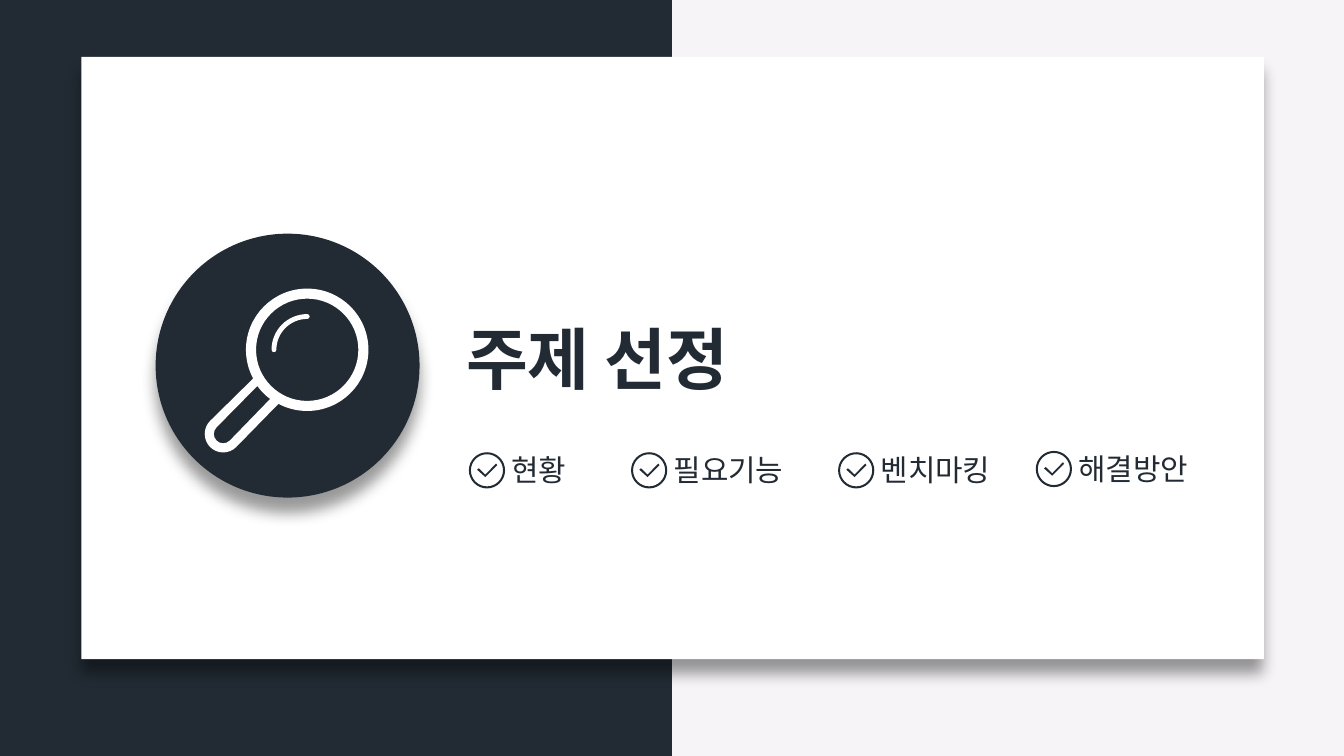
from dataclasses import dataclass
from math import cos, radians, sin, tan

from lxml import etree
from pptx import Presentation
from pptx.dml.color import RGBColor
from pptx.enum.shapes import MSO_SHAPE
from pptx.enum.text import MSO_AUTO_SIZE
from pptx.oxml import parse_xml
from pptx.oxml.ns import nsdecls, qn
from pptx.util import Pt

RECT, OVAL = MSO_SHAPE.RECTANGLE, MSO_SHAPE.OVAL
FIT = MSO_AUTO_SIZE.SHAPE_TO_FIT_TEXT


@dataclass(frozen=True)
class Theme:
    dark: RGBColor = RGBColor(0x22, 0x2B, 0x34)
    light: RGBColor = RGBColor(0xF6, 0xF4, 0xF7)
    white: RGBColor = RGBColor(0xFF, 0xFF, 0xFF)
    font: str = "Noto Sans CJK KR"
    title: int = 36
    label: int = 16


theme = Theme()


def add_text(text, *, left, top, width, height, size, bold=False):
    box = s.shapes.add_textbox(Pt(left), Pt(top), Pt(width), Pt(height))
    tf = box.text_frame
    tf.word_wrap = False
    tf.auto_size = FIT
    r = tf.paragraphs[0].add_run()
    r.text = text
    r.font.name, r.font.size, r.font.bold = theme.font, Pt(size), bold
    r.font.color.rgb = theme.dark
    return box


def arc(cx, cy, radius, start, end):
    """Bezier points of an arc, split at the quadrants; clockwise from the right."""
    stops = [start, *(q for q in range(-360, 721, 90)
                      if min(start, end) < q < max(start, end)), end]
    stops.sort(reverse=end < start)
    offsets = [(cos(radians(start)), sin(radians(start)))]
    for first, last in zip(stops, stops[1:]):
        a, b = radians(first), radians(last)
        k = 4 / 3 * tan((b - a) / 4)
        offsets += [(cos(a) - k * sin(a), sin(a) + k * cos(a)),
                    (cos(b) + k * sin(b), sin(b) - k * cos(b)),
                    (cos(b), sin(b))]
    return [(round(cx + radius * dx, 2), round(cy + radius * dy, 2))
            for dx, dy in offsets]


prs = Presentation()
prs.slide_width, prs.slide_height = Pt(720), Pt(405)
s = prs.slides.add_slide(prs.slide_layouts[6])
s.background.fill.solid()
s.background.fill.fore_color.rgb = theme.light

# Dark half, white card and round badge
for kind, left, top, width, height, color, shadow in [
    (RECT, 0, 0, 360, 405, theme.dark, False),
    (RECT, 43.6, 30.5, 633.6, 322.6, theme.white, True),
    (OVAL, 83.4, 125.2, 141.4, 141.4, theme.dark, True),
]:
    sp = s.shapes.add_shape(kind, Pt(left), Pt(top), Pt(width), Pt(height))
    sp.fill.solid()
    sp.fill.fore_color.rgb = color
    sp.line.fill.background()
    sp.shadow.inherit = False
    if shadow:
        effects = sp._element.spPr.find(qn("a:effectLst"))
        effects.append(parse_xml(
            f'<a:outerShdw {nsdecls("a")} blurRad="{Pt(8)}" dist="{Pt(8)}" '
            'dir="5400000" algn="t" rotWithShape="0"><a:srgbClr val="000000">'
            '<a:alpha val="40000"/></a:srgbClr></a:outerShdw>'))

# Title
add_text("주제 선정", left=242.6, top=166.3, width=164.2, height=51.1,
         size=theme.title, bold=True)

# Magnifier: a contour is a list of curves joined by straight edges
lens_x, lens_y = 164.6, 187.4
grip_x, grip_y = 119.6, 232.5
magnifier = [
    [arc(lens_x, lens_y, 32.8, 152, 478), arc(grip_x, grip_y, 9.9, 45, 225)],
    [arc(lens_x, lens_y, 27.4, 360, 0)],
    [arc(grip_x, grip_y, 5, 45, 225), arc(lens_x, lens_y, 33, 144, 127)],
]
glint = [[
    arc(lens_x, lens_y, 19.1, 180, 270),
    arc(lens_x, lens_y - 17.8, 1.3, -90, 90),
    arc(lens_x, lens_y, 16.5, 270, 180),
    arc(lens_x - 17.8, lens_y, 1.3, 0, 180),
]]
icons = [([magnifier, glint], theme.white, [])]

# Check marks with their labels
tick = [(-5.3, -0.3), (-4.4, -1.1), (-0.9, 2.3), (4.8, -3.6), (5.5, -2.8), (-0.9, 3.6)]
for text, x, y, width in [
    ("현황", 260.9, 252, 45.4),
    ("필요기능", 347.8, 252, 77),
    ("벤치마킹", 458.7, 252, 77),
    ("해결방안", 564.6, 251.3, 77),
]:
    ring = [[arc(x, y, 9.7, 0, 360)], [arc(x, y, 8.6, 360, 0)]]
    check = [[[(x + dx, y + dy)] for dx, dy in tick]]
    label = add_text(text, left=x + 6.1, top=y - 13.6, width=width, height=26.6,
                     size=theme.label)
    icons.append(([ring, check], theme.dark, [label]))

# Draw each icon and group it with its label
for outlines, color, labels in icons:
    parts = []
    for contours in outlines:
        builder = None
        for curves in contours:
            points = list(curves[0])
            for curve in curves[1:] + [curves[0][:1]]:
                if curve[0] == points[-1]:
                    points += curve[1:]
                else:
                    points += [points[-1], curve[0], *curve]
            units = [(px * 100, py * 100) for px, py in points]
            if builder is None:
                builder = s.shapes.build_freeform(*units[0], scale=Pt(1) / 100)
            else:
                builder.move_to(*units[0])
            builder.add_line_segments(units[1:], close=True)
        sp = builder.convert_to_shape()
        # Every three points after a start make one Bezier curve
        lines = list(sp._element.iter(qn("a:lnTo")))
        for i in range(0, len(lines), 3):
            bezier = etree.Element(qn("a:cubicBezTo"))
            lines[i].addprevious(bezier)
            for line in lines[i:i + 3]:
                bezier.append(line[0])
                line.getparent().remove(line)
        sp.fill.solid()
        sp.fill.fore_color.rgb = color
        sp.line.fill.background()
        sp.shadow.inherit = False
        parts.append(sp)
    s.shapes.add_group_shape(shapes=parts + labels)

prs.save("out.pptx")
